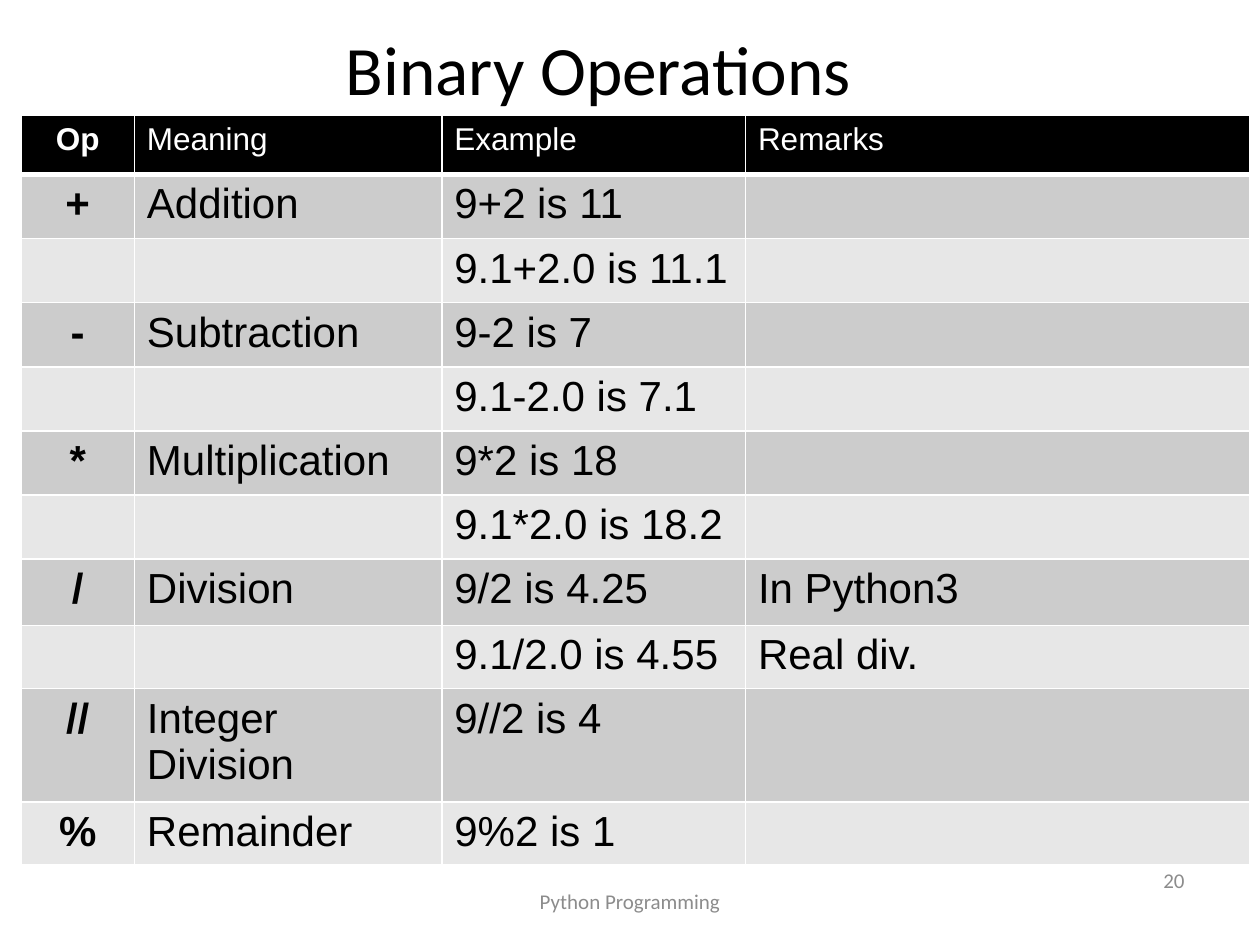
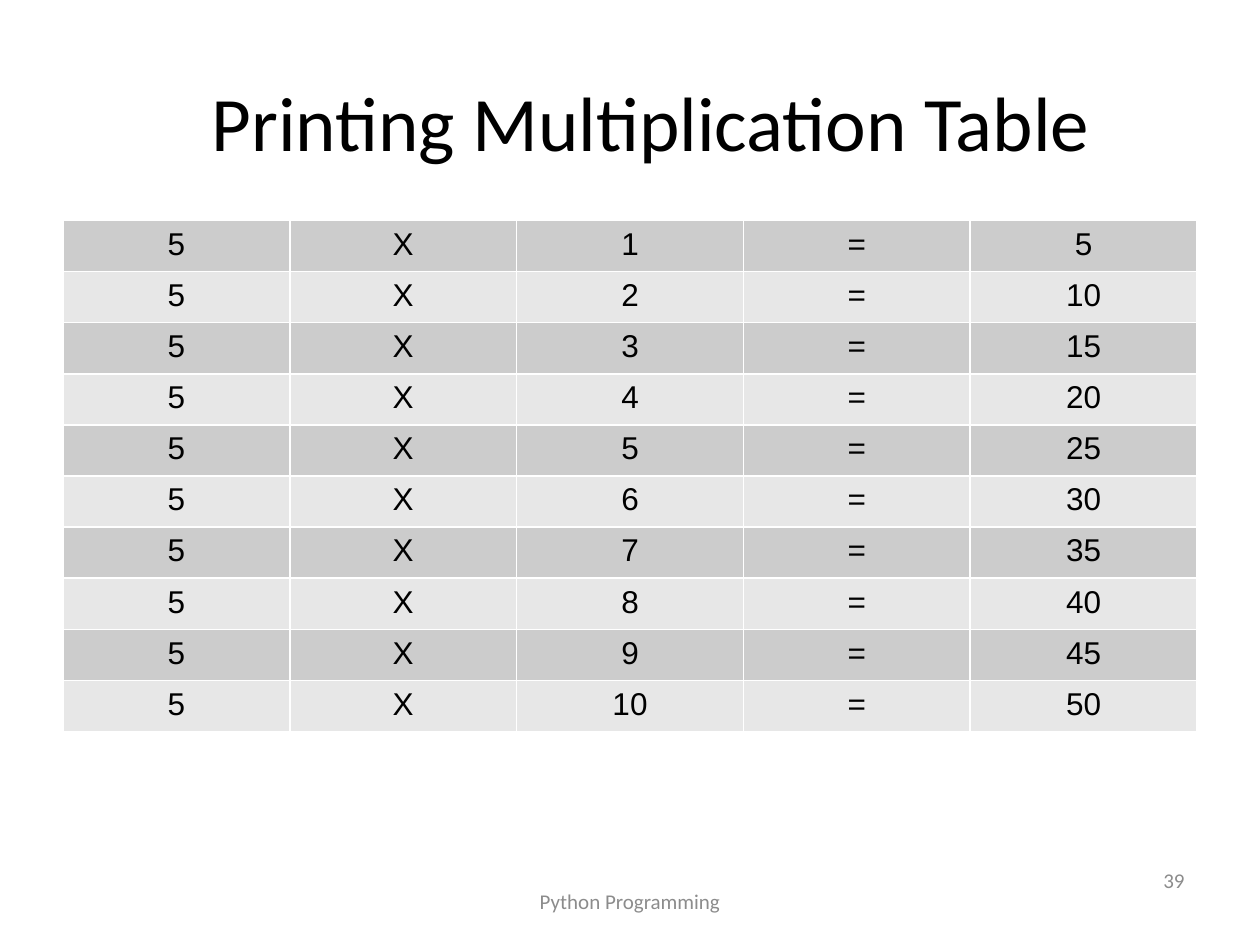
from dataclasses import dataclass
from lxml.etree import SubElement
from pptx import Presentation
from pptx.dml.color import RGBColor
from pptx.enum.text import MSO_ANCHOR, PP_ALIGN
from pptx.oxml.ns import qn
from pptx.util import Inches, Pt


@dataclass(frozen=True)
class Theme:
    ink: str = "000000"
    paper: str = "FFFFFF"
    muted: str = "8C8C8C"
    bands: tuple = ("CCCCCC", "E7E7E7")
    heading_font: str = "Calibri"
    table_font: str = "Arial"
    footer_size: float = 12
    table_size: float = 18
    large_table_size: float = 24
    rule: float = 1
    header_rule: float = 3


theme = Theme()
presentation = Presentation()
presentation.slide_width = Inches(10)
presentation.slide_height = Inches(7.5)
column = presentation.slide_width / 120
row = presentation.slide_height / 90


def write(frame, text, font, size, color, alignment, bold=False):
    paragraph = frame.paragraphs[0]
    paragraph.text = text
    paragraph.alignment = alignment
    paragraph.font.name = font
    paragraph.font.size = Pt(size)
    paragraph.font.bold = bold
    paragraph.font.color.rgb = RGBColor.from_string(color)


def fill_table(slide, left, top, widths, heights, cells, size, centered, header=False):
    shape = slide.shapes.add_table(
        len(heights), len(widths), int(left * column), int(top * row),
        int(sum(widths) * column), int(sum(heights) * row))
    table = shape.table
    table.first_row = header
    for table_column, width in zip(table.columns, widths):
        table_column.width = int(width * column)
    for table_row, height in zip(table.rows, heights):
        table_row.height = int(height * row)
    for row_index, texts in enumerate(cells):
        is_header = header and row_index == 0
        band = theme.ink if is_header else theme.bands[(row_index - header) % 2]
        for column_index, text in enumerate(texts):
            cell = table.cell(row_index, column_index)
            properties = cell._tc.get_or_add_tcPr()
            for side in "LRTB":
                thick = is_header and side == "B"
                line = SubElement(properties, qn(f"a:ln{side}"))
                line.set("w", str(Pt(theme.header_rule if thick else theme.rule)))
                SubElement(SubElement(line, qn("a:solidFill")), qn("a:srgbClr")).set("val", theme.paper)
            cell.fill.solid()
            cell.fill.fore_color.rgb = RGBColor.from_string(band)
            write(cell.text_frame, text, theme.table_font,
                  theme.table_size if is_header else size,
                  theme.paper if is_header else theme.ink,
                  PP_ALIGN.CENTER if column_index in centered else PP_ALIGN.LEFT,
                  header and column_index == 0)


slides = []
for title, title_size, title_place, number in (
    ("Binary Operations", 39.6, (6, 2, 102, 9), "20"),
    ("Printing Multiplication Table", 44, (8, 4, 108, 15), "39"),
):
    slide = presentation.slides.add_slide(presentation.slide_layouts[6])
    slides.append(slide)
    for text, size, color, alignment, (left, top, width, height) in (
        (title, title_size, theme.ink, PP_ALIGN.CENTER, title_place),
        ("Python Programming", theme.footer_size, theme.muted, PP_ALIGN.CENTER, (41, 83.4, 38, 4.8)),
        (number, theme.footer_size, theme.muted, PP_ALIGN.RIGHT, (86, 81.4, 28, 4.8)),
    ):
        box = slide.shapes.add_textbox(
            int(left * column), int(top * row), int(width * column), int(height * row))
        box.text_frame.word_wrap = True
        box.text_frame.vertical_anchor = MSO_ANCHOR.MIDDLE
        write(box.text_frame, text, theme.heading_font, size, color, alignment)

operations = [
    ("Op", "Meaning", "Example", "Remarks"),
    ("+", "Addition", "9+2 is 11", ""),
    ("", "", "9.1+2.0 is 11.1", ""),
    ("-", "Subtraction", "9-2 is 7", ""),
    ("", "", "9.1-2.0 is 7.1", ""),
    ("*", "Multiplication", "9*2 is 18", ""),
    ("", "", "9.1*2.0 is 18.2", ""),
    ("/", "Division", "9/2 is 4.25", "In Python3"),
    ("", "", "9.1/2.0 is 4.55", "Real div."),
    ("//", "Integer Division", "9//2 is 4", ""),
    ("%", "Remainder", "9%2 is 1", ""),
]
operation_heights = [5.64] + [6.1] * 6 + [6.36, 6, 10.2, 6]
fill_table(slides[0], 2, 11, [10.8, 29.28, 28.92, 48], operation_heights,
           operations, theme.large_table_size, {0}, header=True)

products = [("5", "X", str(factor), "=", str(5 * factor)) for factor in range(1, 11)]
fill_table(slides[1], 6, 21, [21.6] * 5, [4.87] * len(products),
           products, theme.table_size, set(range(5)))

presentation.save("out.pptx")
